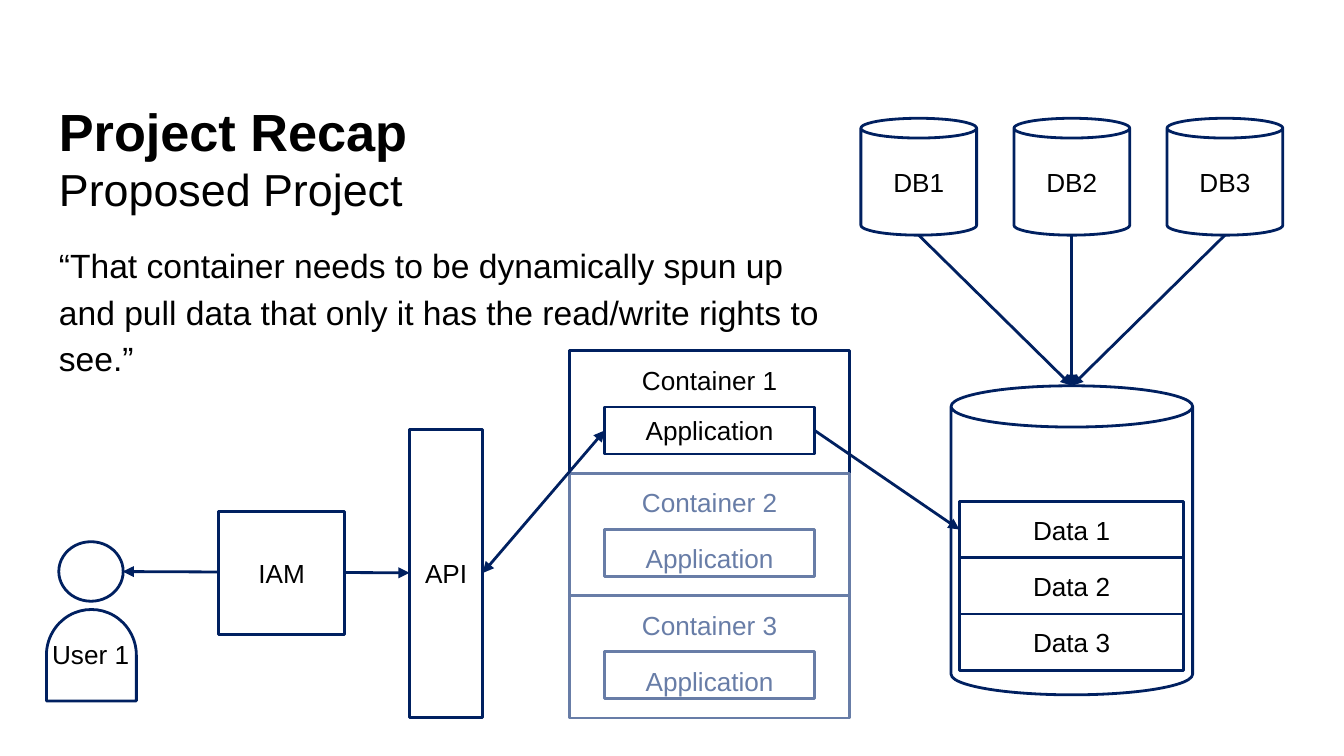
from lxml import etree
from pptx import Presentation
from pptx.dml.color import RGBColor
from pptx.enum import shapes, text
from pptx.oxml import ns
from pptx.util import Pt

COLORS = {"navy": "002060", "muted": "687DA7", "black": "000000", "white": "FFFFFF"}
KIND = shapes.MSO_SHAPE
ANCHOR = text.MSO_ANCHOR
INSET = 7.2


def color(name):
    return RGBColor.from_string(COLORS[name])


def add_span(para, words, size, tint="black", bold=False):
    span = para.add_run()
    span.text = words
    span.font.name = "Arial"
    span.font.size = Pt(size)
    span.font.bold = bold
    span.font.color.rgb = color(tint)


def prepare_frame(box, anchor):
    """Set wrapping, insets and anchor; return the first paragraph."""
    frame = box.text_frame
    frame.word_wrap = True
    frame.vertical_anchor = anchor
    frame.margin_left = frame.margin_right = Pt(INSET)
    frame.margin_top = frame.margin_bottom = Pt(INSET)
    return frame.paragraphs[0]


def add_label(box, words, tint="black", anchor=ANCHOR.MIDDLE):
    para = prepare_frame(box, anchor)
    para.alignment = text.PP_ALIGN.CENTER
    add_span(para, words, 14, tint)


def add_text_box(page, left, top, width, height):
    return page.shapes.add_textbox(Pt(left), Pt(top), Pt(width), Pt(height))


def add_outline(page, kind, left, top, width, height, words="",
                line="navy", tint="black", anchor=ANCHOR.MIDDLE):
    """Add a white shape with a thin outline and an optional label."""
    shape = page.shapes.add_shape(kind, Pt(left), Pt(top), Pt(width), Pt(height))
    shape.shadow.inherit = False
    shape.fill.solid()
    shape.fill.fore_color.rgb = color("white")
    shape.line.color.rgb = color(line)
    shape.line.width = Pt(1.5)
    if kind == KIND.CAN:
        shape.adjustments[0] = 0.171
    if words:
        add_label(shape, words, tint, anchor)
    return shape


def add_arrow(page, start, end, both_ways=False):
    arrow = page.shapes.add_connector(
        shapes.MSO_CONNECTOR.STRAIGHT, *(Pt(value) for value in start + end))
    arrow.line.color.rgb = color("navy")
    arrow.line.width = Pt(1.5)
    props = arrow.line._get_or_add_ln()
    for tag in ["a:headEnd", "a:tailEnd"] if both_ways else ["a:tailEnd"]:
        etree.SubElement(props, ns.qn(tag), type="triangle")
    etree.SubElement(arrow._element.spPr, ns.qn("a:effectLst"))


def add_heading(page):
    para = prepare_frame(add_text_box(page, 24.5, 46, 671, 69), ANCHOR.TOP)
    add_span(para, "Project Recap", 28, bold=True)
    para.add_line_break()
    add_span(para, "Proposed Project", 24)

    para = prepare_frame(add_text_box(page, 24.5, 121, 430.6, 85), ANCHOR.TOP)
    para.line_spacing = 1.15
    add_span(para, "“That container needs to be dynamically spun up and pull data "
                   "that only it has the read/write rights to see.”", 18)


def add_user(page):
    body = add_outline(page, KIND.FLOWCHART_DELAY, 24.5, 326.9, 49, 48.2)
    body.rotation = 270
    add_outline(page, KIND.OVAL, 31.5, 290.2, 34.5, 31.9)
    add_label(add_text_box(page, 15.1, 334.8, 67, 33.8), "User 1", anchor=ANCHOR.TOP)


def add_container(page, number):
    active = number == 1
    line, tint = ("navy", "black") if active else ("muted", "muted")
    top = 187.9 + (number - 1) * 65.6
    add_outline(page, KIND.RECTANGLE, 305.2, top, 150, 65.6,
                f"Container {number}", line, tint, ANCHOR.TOP)
    add_outline(page, KIND.RECTANGLE, 324, top + 30.1, 112.4, 25.2,
                "Application", line, tint, ANCHOR.MIDDLE if active else ANCHOR.TOP)


def add_databases(page):
    store_top = (574.2, 206.7)
    add_outline(page, KIND.CAN, 509.5, 206.7, 129.4, 165.6)
    for index in range(3):
        add_outline(page, KIND.RECTANGLE, 514, 268.6 + index * 30.2, 120.2, 30.2,
                    f"Data {index + 1}")
        left = 461.2 + index * 82
        add_outline(page, KIND.CAN, left, 63.4, 62, 62.6, f"DB{index + 1}")
        add_arrow(page, (left + 31, 126), store_top)


def main():
    deck = Presentation()
    deck.slide_width, deck.slide_height = Pt(720), Pt(405)
    page = deck.slides.add_slide(deck.slide_layouts[6])
    add_heading(page)

    # User, access control and API
    add_user(page)
    add_outline(page, KIND.RECTANGLE, 219.4, 230.2, 39.2, 154)
    add_arrow(page, (65.8, 306.2), (219.4, 306.9), both_ways=True)
    add_outline(page, KIND.RECTANGLE, 117.2, 274.2, 67.4, 65.8, "IAM")
    add_label(page.shapes[4 + 1], "API")

    # Databases feeding the shared store
    add_databases(page)

    # Containers, with arrows from the active one
    for number in (1, 2, 3):
        add_container(page, number)
    add_arrow(page, (258.6, 307), (324, 230.6), both_ways=True)
    add_arrow(page, (436.4, 230.6), (514, 283.7))

    deck.save("out.pptx")


if __name__ == "__main__":
    main()
